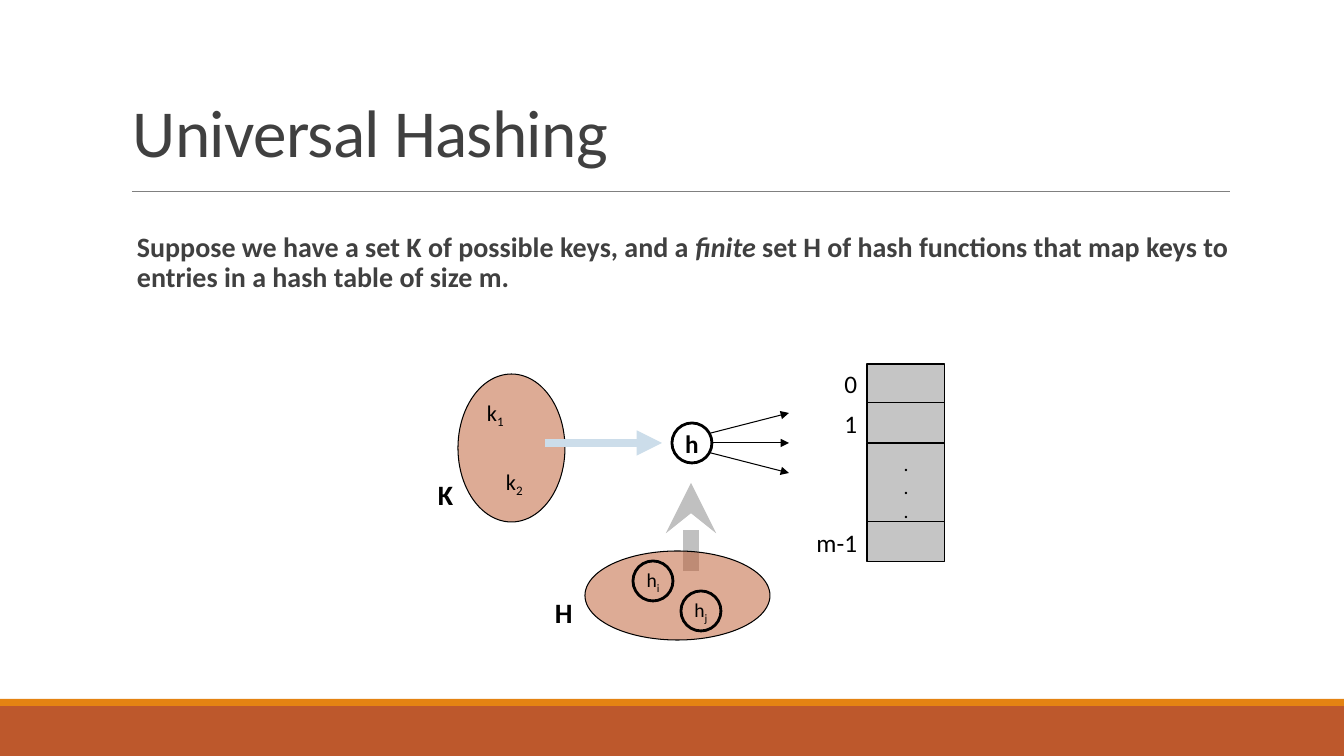
import pptx
import pptx.util
import pptx.dml.color
import pptx.enum.shapes
import pptx.enum.text
import pptx.oxml.ns
import lxml.etree

SHAPE = pptx.enum.shapes.MSO_SHAPE
ALIGN = pptx.enum.text.PP_ALIGN
ANCHOR = pptx.enum.text.MSO_ANCHOR
Pt = pptx.util.Pt
qn = pptx.oxml.ns.qn

THEME = {
    "font": "Calibri", "text": "404040", "ink": "000000", "rust": "BD582C",
    "orange": "E48312", "rule": "808080", "cell": "8C8C8C",
    "pick": "C0C0C0", "feed": "CCDDEA",
    "title": 48, "body": 20, "set": 20, "label": 18, "key": 16, "small": 14,
}

TITLE = "Universal Hashing"
BODY = [
    ("Suppose we have a set K of possible keys, and a ", {}),
    ("finite", {"italic": True}),
    (" set H of hash functions that map keys to entries in a hash table of size m.", {}),
]
BANDS = [((0, 706, 1344, 50), "rust"), ((0, 699, 1344, 7), "orange")]
CELLS = [("0", 39), ("1", 40), (None, 79), ("m-1", 40)]
TABLE = {"left": 867, "top": 364, "width": 78}
SETS = [
    ("K", (458, 374, 107, 148), (428, 473, 46, 51)),
    ("H", (585, 551, 185, 89), (545, 591, 48, 51)),
]
FUNCTIONS = [
    ("h", None, (672, 423), "label"),
    ("h", "i", (633, 561), "small"),
    ("h", "j", (681, 591), "small"),
]
CIRCLE = 40
KEYS = [("k", "2", (496, 463)), ("k", "1", (477, 394))]
KEY_SIZE = (48, 39)
PICK_ARROW = ((691, 571), (691, 483), "pick", 12, "stealth")
FEED_ARROW = ((545, 443), (662, 443), "feed", 6, "triangle")
FAN = {"left": 711, "right": 789, "middle": 443, "start_gap": 10, "end_gap": 30}

EMU_PER_PX = 914400 / 100.8


def px(*values):
    return [round(v * EMU_PER_PX) for v in values]


def rgb(name):
    return pptx.dml.color.RGBColor.from_string(THEME[name])


def write(sp, paragraphs, size, color="ink", bold=False, spacing=None,
          paragraph_format=None, **frame):
    tf = sp.text_frame
    for name, value in {"word_wrap": True, **frame}.items():
        setattr(tf, name, value)
    for i, runs in enumerate(paragraphs):
        p = tf.paragraphs[0] if i == 0 else tf.add_paragraph()
        for name, value in (paragraph_format or {}).items():
            setattr(p, name, value)
        for text, extra in runs:
            r = p.add_run()
            r.text = text
            fmt = {"name": THEME["font"], "size": Pt(THEME[size]), "bold": bold, **extra}
            baseline = fmt.pop("baseline", None)
            for name, value in fmt.items():
                setattr(r.font, name, value)
            r.font.color.rgb = rgb(color)
            for name, value in (("baseline", baseline), ("spc", spacing)):
                if value is not None:
                    r._r.get_or_add_rPr().set(name, str(value))


def label(s, box, paragraphs, size, **options):
    sp = s.shapes.add_textbox(*px(*box))
    write(sp, paragraphs, size, **options)


def shape(s, kind, box, fill=None, alpha=None, line=0.75):
    sp = s.shapes.add_shape(kind, *px(*box))
    sp.shadow.inherit = False
    if fill:
        sp.fill.solid()
        sp.fill.fore_color.rgb = rgb(fill)
        if alpha:
            color = sp._element.spPr.find(".//" + qn("a:srgbClr"))
            lxml.etree.SubElement(color, qn("a:alpha")).set("val", str(alpha * 1000))
    else:
        sp.fill.background()
    if line:
        sp.line.color.rgb = rgb("ink")
        sp.line.width = Pt(line)
    else:
        sp.line.fill.background()
    return sp


def connect(s, start, end, color="ink", width=0.75, head=None):
    kind = pptx.enum.shapes.MSO_CONNECTOR.STRAIGHT
    line = s.shapes.add_connector(kind, *px(*start, *end))
    line.line.color.rgb = rgb(color)
    line.line.width = Pt(width)
    if head:
        ln = line.line._get_or_add_ln()
        lxml.etree.SubElement(ln, qn("a:tailEnd")).set("type", head)
    lxml.etree.SubElement(line._element.spPr, qn("a:effectLst"))


def sub_runs(base, sub):
    return [(base, {})] + ([(sub, {"baseline": -25000})] if sub else [])


def draw_table(s):
    left, top, width = TABLE["left"], TABLE["top"], TABLE["width"]
    for index, height in CELLS:
        sp = shape(s, SHAPE.RECTANGLE, (left, top, width, height), "cell", 50)
        if index is None:
            write(sp, [[(".", {})]] * 3, "small", vertical_anchor=ANCHOR.BOTTOM,
                  margin_top=0, margin_bottom=0,
                  paragraph_format={"alignment": ALIGN.CENTER})
        else:
            label(s, (left - width, top, width, height), [[(index, {})]], "label",
                  vertical_anchor=ANCHOR.MIDDLE,
                  paragraph_format={"alignment": ALIGN.RIGHT})
        top += height


def main():
    prs = pptx.Presentation()
    prs.slide_width, prs.slide_height = px(1344, 756)
    s = prs.slides.add_slide(prs.slide_layouts[6])

    for box, color in BANDS:
        shape(s, SHAPE.RECTANGLE, box, color, line=None)
    connect(s, (132, 191), (1230, 191), "rule", 0.5)
    label(s, (123, 50, 857, 126), [[(TITLE, {})]], "title", color="text", spacing=-50,
          vertical_anchor=ANCHOR.BOTTOM, paragraph_format={"line_spacing": 0.85})
    label(s, (137, 228, 1108, 86), [BODY], "body", color="text", bold=True,
          margin_left=0, margin_right=0,
          paragraph_format={"line_spacing": 0.9, "space_before": Pt(12),
                            "space_after": Pt(2)})

    connect(s, *PICK_ARROW)
    draw_table(s)
    for name, oval, name_box in SETS:
        shape(s, SHAPE.OVAL, oval, "rust", 50)
        label(s, name_box, [[(name, {})]], "set", bold=True)
    for base, sub, corner, size in FUNCTIONS:
        sp = shape(s, SHAPE.OVAL, (*corner, CIRCLE, CIRCLE), line=2)
        write(sp, [sub_runs(base, sub)], size, bold=sub is None,
              vertical_anchor=ANCHOR.MIDDLE, margin_left=0, margin_right=0,
              margin_top=0, margin_bottom=0,
              paragraph_format={"alignment": ALIGN.CENTER})
    for step in (-1, 0, 1):
        connect(s, (FAN["left"], FAN["middle"] + step * FAN["start_gap"]),
                (FAN["right"], FAN["middle"] + step * FAN["end_gap"]), head="triangle")
    connect(s, *FEED_ARROW)
    for base, sub, corner in KEYS:
        label(s, (*corner, *KEY_SIZE), [sub_runs(base, sub)], "key")

    prs.save("out.pptx")


if __name__ == "__main__":
    main()
